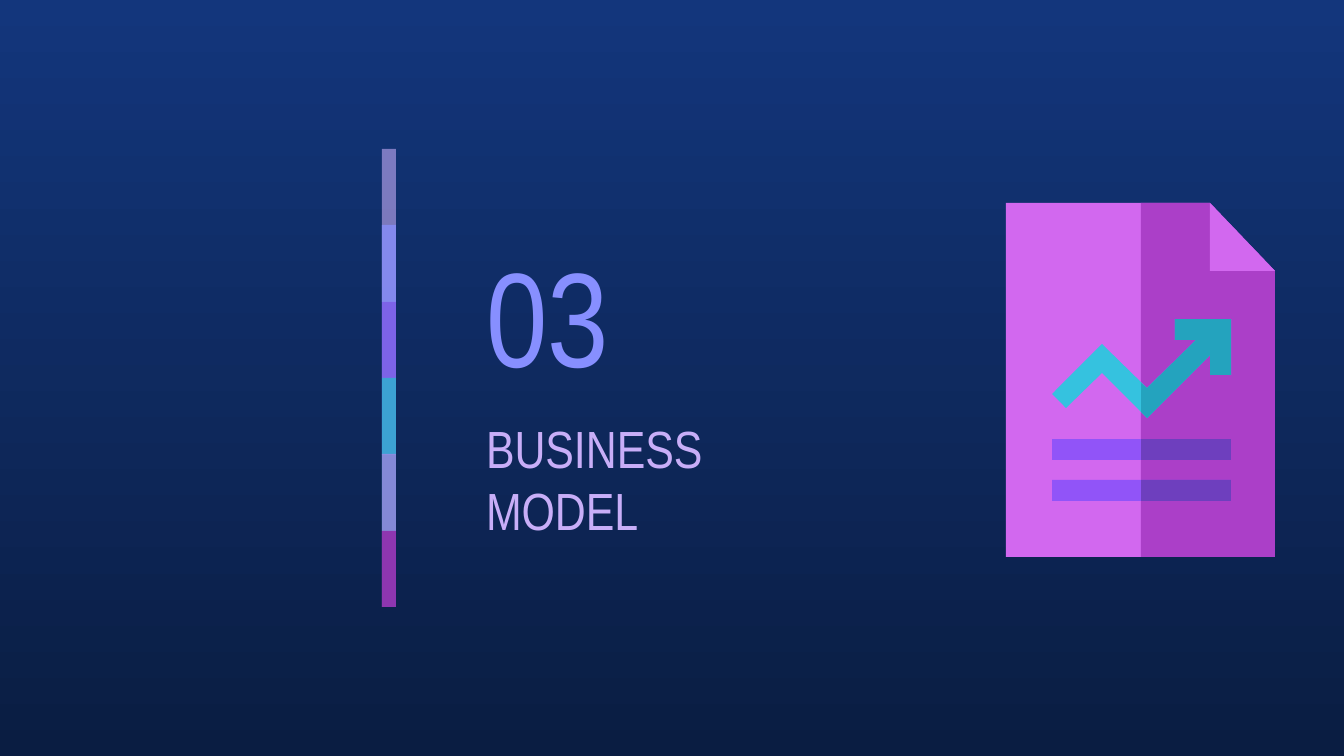
import lxml.etree
import pptx
import pptx.dml.color
import pptx.enum.shapes
import pptx.enum.text
import pptx.oxml.ns
import pptx.util

WIDTH, HEIGHT = 1344, 756
SCALE = 9144000 / WIDTH
LILAC, PERIWINKLE, VIOLET, CYAN = "C8AEF8", "878FFF", "9154F8", "35C2DF"
ORCHID, DARK_ORCHID, DARK_CYAN, DARK_VIOLET = "D268EF", "AB3FC8", "24A3BE", "6E3FBE"


def emu(px):
    return pptx.util.Emu(round(px * SCALE))


def rgb(color):
    return pptx.dml.color.RGBColor.from_string(color)


class SlideBuilder:
    font = "Arial Narrow"

    def __init__(self, prs):
        self.s = prs.slides.add_slide(prs.slide_layouts[6])

    def background(self, top, bottom):
        fill = self.s.background.fill
        fill.gradient()
        fill.gradient_angle = 270
        for stop, color in zip(fill.gradient_stops, (top, bottom)):
            stop.color.rgb = rgb(color)

    def paint(self, sp, color, opacity=100):
        sp.shadow.inherit = False
        sp.line.fill.background()
        sp.fill.solid()
        sp.fill.fore_color.rgb = rgb(color)
        if opacity < 100:
            clr = sp._element.spPr.find(".//" + pptx.oxml.ns.qn("a:srgbClr"))
            alpha = lxml.etree.SubElement(clr, pptx.oxml.ns.qn("a:alpha"))
            alpha.set("val", str(opacity * 1000))

    def rect(self, x, y, w, h, color, opacity=100):
        sp = self.s.shapes.add_shape(
            pptx.enum.shapes.MSO_SHAPE.RECTANGLE, emu(x), emu(y), emu(w), emu(h))
        self.paint(sp, color, opacity)

    def polygon(self, points, color):
        builder = self.s.shapes.build_freeform(*points[0], scale=SCALE)
        builder.add_line_segments(points[1:], close=True)
        self.paint(builder.convert_to_shape(), color)

    def text(self, x, y, w, h, text, size, color, anchor):
        tf = self.s.shapes.add_textbox(emu(x), emu(y), emu(w), emu(h)).text_frame
        tf.word_wrap = True
        tf.vertical_anchor = anchor
        tf.margin_left = tf.margin_right = tf.margin_top = tf.margin_bottom = emu(13)
        p = tf.paragraphs[0]
        p.text = text
        p.font.name = self.font
        p.font.size = pptx.util.Pt(size)
        p.font.color.rgb = rgb(color)


def add_color_strip(slide):
    """Stack translucent bars, each reaching under the next one."""
    top, bottom = 149, 607
    bands = [(LILAC, 59), (PERIWINKLE, 74), (VIOLET, 53),
             (CYAN, 76), ("CA7BEB", 56), ("972CB4", 74)]
    step = (bottom - top) / len(bands)
    for i, (color, opacity) in enumerate(bands):
        y = round(top + i * step)
        slide.rect(382, y, 14, min(153, bottom - y), color, opacity)


def add_report_icon(slide):
    """Draw a folded page whose right half is in shade."""
    left, middle, fold_x, right = 1006, 1141, 1210, 1275
    top, fold_y, bottom = 203, 271, 557
    for x, color in ((left, ORCHID), (middle, DARK_ORCHID)):
        slide.polygon([(x, top), (x, bottom), (right, bottom),
                       (right, fold_y), (fold_x, top)], color)
    slide.polygon([(fold_x, top), (fold_x, fold_y), (right, fold_y)], ORCHID)

    head = [(1147, 418), (1210, 355), (1210, 375), (1231, 375), (1231, 319),
            (1175, 319), (1175, 340), (1196, 340), (1147, 388)]
    tail = [(1102, 344), (1052, 394), (1066, 408), (1102, 373)]
    cut = [(middle, 383), (middle, 412)]
    slide.polygon(head + tail, CYAN)
    slide.polygon(head + cut, DARK_CYAN)

    for y in (439, 480):
        for x, color in ((1052, VIOLET), (middle, DARK_VIOLET)):
            slide.rect(x, y, 1231 - x, 21, color)


def main():
    prs = pptx.Presentation()
    prs.slide_width, prs.slide_height = emu(WIDTH), emu(HEIGHT)
    slide = SlideBuilder(prs)
    slide.background("13367C", "0A1D42")
    anchor = pptx.enum.text.MSO_ANCHOR
    slide.text(473, 223, 235, 181, "03", 72, PERIWINKLE, anchor.MIDDLE)
    slide.text(473, 403, 386, 129, "BUSINESS MODEL", 28, LILAC, anchor.TOP)
    add_report_icon(slide)
    add_color_strip(slide)
    prs.save("out.pptx")


if __name__ == "__main__":
    main()
